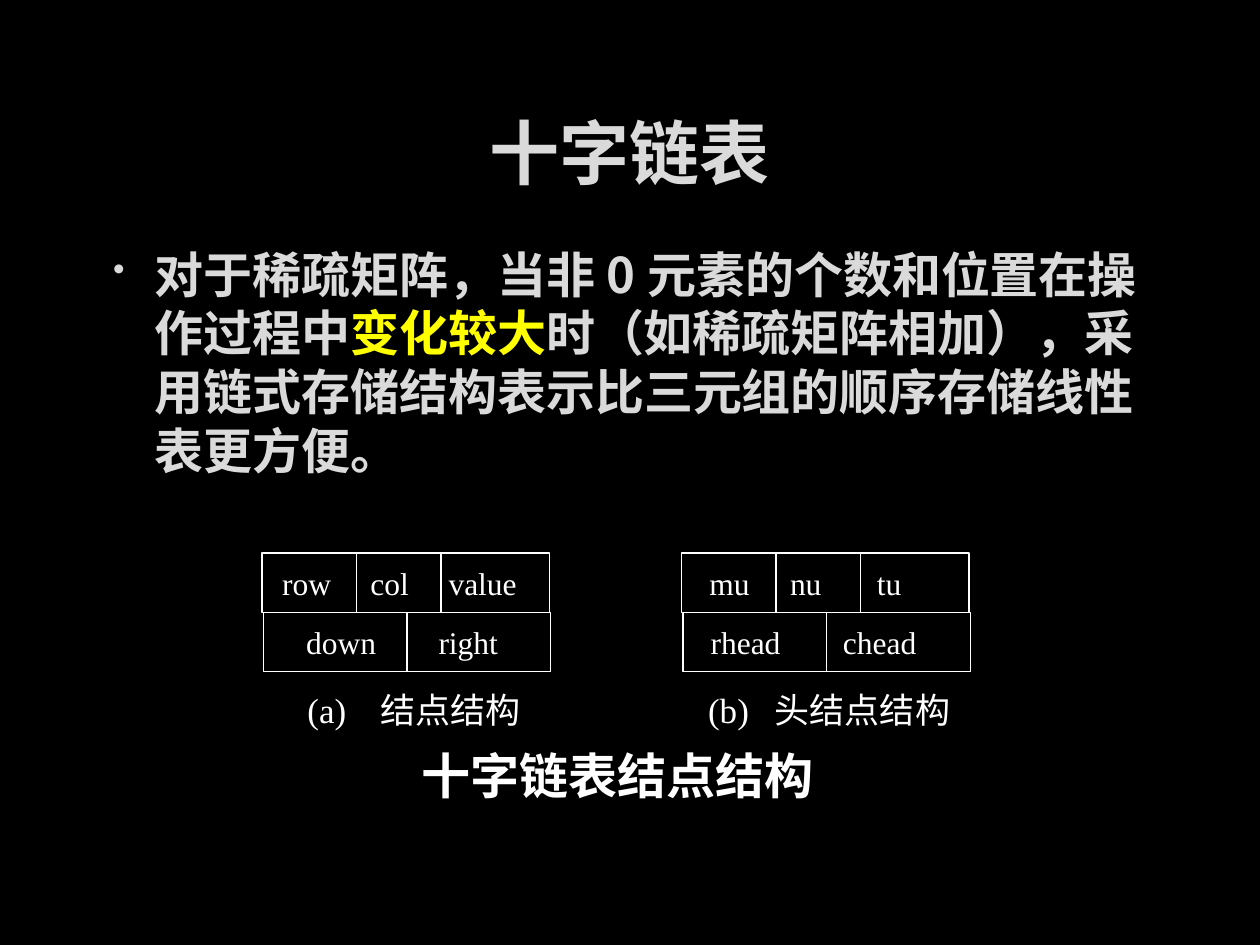
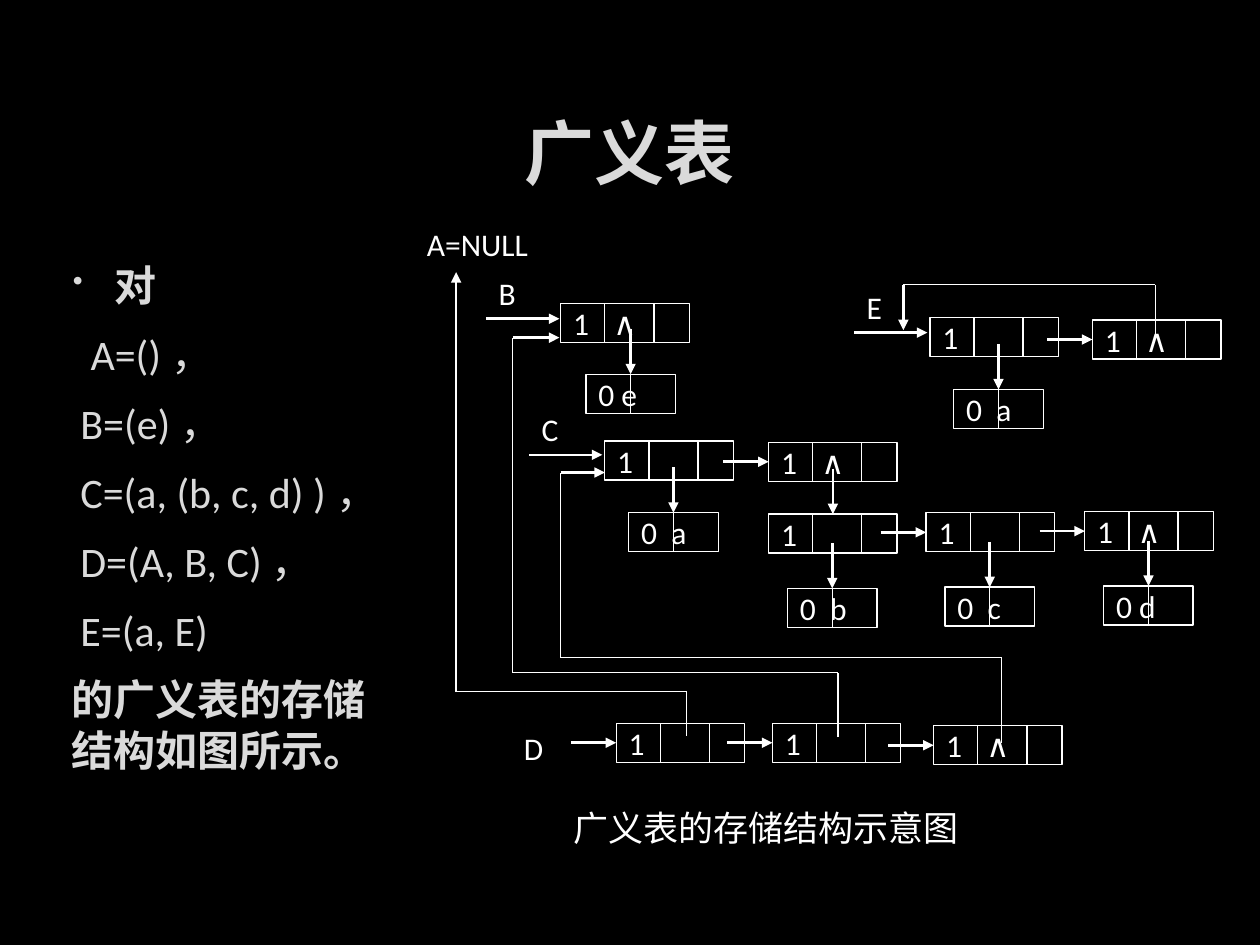
from typing import NamedTuple

from lxml import etree
from pptx import Presentation
from pptx.dml.color import RGBColor
from pptx.enum.shapes import MSO_CONNECTOR, MSO_SHAPE
from pptx.enum.text import MSO_ANCHOR, PP_ALIGN
from pptx.oxml.ns import qn
from pptx.util import Emu, Pt

PX = 9144  # 100 px to the inch
LINE, RECT = MSO_CONNECTOR.STRAIGHT, MSO_SHAPE.RECTANGLE
TOP, MIDDLE = MSO_ANCHOR.TOP, MSO_ANCHOR.MIDDLE
LEFT, CENTER = PP_ALIGN.LEFT, PP_ALIGN.CENTER
SIDE_TOP, SIDE_LEFT, SIDE_BOTTOM = 0, 1, 2
COLORS = {"bg": "000000", "text": "DADADA", "ink": "FFFFFF", "accent": "FFFF00"}
CJK, SANS, SERIF = "Noto Sans CJK SC", "Calibri", "Times New Roman"
THIN, THICK = 0.75, 1.5


class Style(NamedTuple):
    size: int
    font: str = CJK
    color: str = "ink"
    bold: bool = False


class Run(NamedTuple):
    text: str
    style: Style


class Box(NamedTuple):
    """A row of cells: words stand at tab stops, lines part the cells."""
    x: int
    y: int
    w: int
    h: int
    text: str
    dividers: tuple[int, ...]
    tabs: tuple[int, ...] = ()
    inset: int = 10
    font: str = SANS
    entry: int | None = None


class Label(NamedTuple):
    x: int
    y: int
    w: int
    h: int
    runs: tuple[Run, ...]
    align: PP_ALIGN = LEFT
    inset: int = 10
    tabs: tuple[int, ...] = ()


class Item(NamedTuple):
    runs: tuple[Run, ...]
    left: int
    bullet: bool = False


TITLE = Style(40, CJK, "text", True)
BODY = Style(28, CJK, "text", True)
LIST_HEAD = Style(24, CJK, "text", True)
LIST_CJK = Style(24, CJK, "text")
LIST = Style(24, SANS, "text")
CAPTION = Style(20, SERIF)
NAME = Style(18, SANS)


def px(n: float) -> Emu:
    return Emu(round(n * PX))


def rgb(name: str) -> RGBColor:
    return RGBColor.from_string(COLORS[name])


def add_run(p, run: Run) -> None:
    r = p.add_run()
    r.text = run.text
    r.font.size, r.font.bold = Pt(run.style.size), run.style.bold
    r.font.name, r.font.color.rgb = run.style.font, rgb(run.style.color)
    etree.SubElement(r._r.get_or_add_rPr(), qn("a:ea"), typeface=CJK)


def set_tabs(p, stops: tuple[int, ...]) -> None:
    if stops:
        tabs = etree.SubElement(p._p.get_or_add_pPr(), qn("a:tabLst"))
        for stop in stops:
            etree.SubElement(tabs, qn("a:tab"), pos=str(px(stop)), algn="l")


def set_frame(tf, anchor: MSO_ANCHOR, inset: int = 10) -> None:
    tf.word_wrap, tf.vertical_anchor = True, anchor
    tf.margin_left, tf.margin_right = px(inset), px(0 if inset > 10 else 10)
    tf.margin_top = tf.margin_bottom = px(5)


def add_label(s, label: Label) -> None:
    sp = s.shapes.add_textbox(px(label.x), px(label.y), px(label.w), px(label.h))
    set_frame(sp.text_frame, MIDDLE, label.inset)
    p = sp.text_frame.paragraphs[0]
    p.alignment = label.align
    for run in label.runs:
        add_run(p, run)
    set_tabs(p, label.tabs)


def add_body(s, x: int, y: int, w: int, h: int, items: list[Item]) -> None:
    tf = s.shapes.add_textbox(px(x), px(y), px(w), px(h)).text_frame
    set_frame(tf, TOP)
    for i, item in enumerate(items):
        p = tf.add_paragraph() if i else tf.paragraphs[0]
        size = item.runs[0].style.size
        p.line_spacing = Pt(round(size * 1.196, 1))
        p.space_before, p.space_after = Pt(size * 0.2), Pt(6)
        for run in item.runs:
            add_run(p, run)
        pPr = p._p.get_or_add_pPr()
        pPr.set("marL", str(px(item.left)))
        pPr.set("indent", str(px(-33 if item.bullet else 0)))
        if item.bullet:
            color = etree.SubElement(pPr, qn("a:buClr"))
            etree.SubElement(color, qn("a:srgbClr"), val=COLORS["text"])
            etree.SubElement(pPr, qn("a:buSzPct"), val="70000")
            etree.SubElement(pPr, qn("a:buChar"), char="•")


def add_line(s, x1: float, y1: float, x2: float, y2: float, arrow: bool = False):
    line = s.shapes.add_connector(LINE, px(x1), px(y1), px(x2), px(y2))
    line.line.color.rgb = rgb("ink")
    line.line.width = Pt(THICK if arrow else THIN)
    if arrow:
        etree.SubElement(line.line._get_or_add_ln(), qn("a:tailEnd"), type="triangle")
    etree.SubElement(line._element.spPr, qn("a:effectLst"))
    return line


def add_box(s, box: Box) -> None:
    sp = s.shapes.add_shape(RECT, px(box.x), px(box.y), px(box.w), px(box.h))
    sp.shadow.inherit = False
    sp.fill.background()
    sp.line.color.rgb, sp.line.width = rgb("ink"), Pt(THIN)
    set_frame(sp.text_frame, MIDDLE, box.inset)
    p = sp.text_frame.paragraphs[0]
    p.alignment = LEFT
    add_run(p, Run(box.text, Style(18, box.font)))
    set_tabs(p, box.tabs)
    for d in box.dividers:
        line = add_line(s, box.x + d, box.y, box.x + d, box.y + box.h)
        if abs(2 * d - box.w) <= 1:
            line.begin_connect(sp, SIDE_TOP)
            line.end_connect(sp, SIDE_BOTTOM)
    # Incoming arrow
    if box.entry is not None:
        if box.entry == SIDE_TOP:
            x, y = box.x + box.w / 2, box.y
            arrow = add_line(s, x, y - 36, x, y, True)
        else:
            x, y = box.x, box.y + box.h / 2
            arrow = add_line(s, x - 36, y, x, y, True)
        arrow.end_connect(sp, box.entry)


def node(x: int, y: int, text: str = "1", entry: int | None = None) -> Box:
    return Box(x, y, 102, 31, text, (35, 74), (32,), entry=entry)


def atom(x: int, y: int, text: str) -> Box:
    return Box(x, y, 71, 31, text, (36,), (24,), entry=SIDE_TOP)


def add_route(s, points: list[tuple[int, int]]) -> None:
    for i, (a, b) in enumerate(zip(points, points[1:])):
        add_line(s, *a, *b, arrow=i == len(points) - 2)


def new_slide(prs, title: str):
    s = prs.slides.add_slide(prs.slide_layouts[6])
    s.background.fill.solid()
    s.background.fill.fore_color.rgb = rgb("bg")
    add_label(s, Label(75, 67, 849, 106, (Run(title, TITLE),), CENTER))
    return s


# Slide 1: cells of a node and of a head node
CROSS_BODY = [Item((
    Run("对于稀疏矩阵，当非0元素的个数和位置在操作过程中", BODY),
    Run("变化较大", BODY._replace(color="accent")),
    Run("时（如稀疏矩阵相加），采用链式存储结构表示比三元组的顺序存储线性表更方便。", BODY),
), 38, True)]
CROSS_BOXES = [
    Box(208, 439, 228, 47, "row\tcol\tvalue", (75, 142), (70, 132), 16, SERIF),
    Box(209, 486, 228, 47, "down\tright", (114,), (105,), 34, SERIF),
    Box(541, 439, 228, 47, "mu\tnu\ttu", (75, 142), (64, 133), 22, SERIF),
    Box(542, 486, 228, 47, "rhead\tchead", (114,), (105,), 22, SERIF),
]
CROSS_LABELS = [
    Label(216, 542, 225, 42, (Run("(a)\t结点结构", CAPTION),), LEFT, 28, (58,)),
    Label(550, 542, 217, 42, (Run("(b)\t头结点结构", CAPTION),), LEFT, 12, (53,)),
    Label(311, 594, 358, 42, (Run("十字链表结点结构", Style(28, bold=True)),), CENTER),
]

# Slide 2: lists A to E and their nodes
LISTS = [("A=()", "，", 19), ("B=(e)", "，", 11), ("C=(a, (b, c, d) )", "，", 11),
         ("D=(A, B, C)", "，", 11), ("E=(a, E)", "", 11)]
LIST_BODY = [
    Item((Run("对", LIST_HEAD),), 38, True),
    *(Item((Run(text, LIST),) + ((Run(comma, LIST_CJK),) if comma else ()), left)
      for text, comma, left in LISTS),
    Item((Run("的广义表的存储结构如图所示。", LIST_HEAD),), 4),
]
END = "1\t∧"
LIST_BOXES = [
    # B
    node(445, 241, END), atom(465, 297, "0 e"),
    # C
    node(480, 350), atom(499, 407, "0\ta"), node(610, 351, END, SIDE_LEFT),
    node(610, 408, entry=SIDE_TOP), atom(625, 467, "0\tb"),
    node(735, 407, entry=SIDE_LEFT), atom(750, 466, "0\tc"),
    node(861, 406, END, SIDE_LEFT), atom(876, 465, "0 d"),
    # D
    node(489, 574, entry=SIDE_LEFT), node(613, 574, entry=SIDE_LEFT),
    node(741, 576, END, SIDE_LEFT),
    # E
    node(738, 252), atom(757, 309, "0\ta"), node(867, 254, END, SIDE_LEFT),
]
HEADS = [("B", 386, 253), ("C", 420, 361), ("E", 678, 264)]
ROUTES = [
    [(545, 584), (545, 549), (362, 549), (362, 216)],
    [(665, 585), (665, 534), (407, 534), (407, 268), (444, 268)],
    [(795, 590), (795, 522), (445, 522), (445, 375), (480, 375)],
    [(917, 265), (917, 226), (717, 226), (717, 262)],
]
LIST_LABELS = [
    Label(329, 174, 141, 39, (Run("A=NULL", NAME),)),
    Label(406, 574, 39, 39, (Run("D", NAME),)),
    Label(362, 636, 492, 42, (Run("广义", Style(20, SANS)),
                              Run("表的存储结构示意图", Style(20))), CENTER),
]


def main() -> None:
    prs = Presentation()
    prs.slide_width, prs.slide_height = px(1000), px(750)

    s = new_slide(prs, "十字链表")
    add_body(s, 75, 189, 849, 444, CROSS_BODY)
    for box in CROSS_BOXES:
        add_box(s, box)
    for label in CROSS_LABELS:
        add_label(s, label)

    s = new_slide(prs, "广义表")
    add_body(s, 43, 201, 271, 450, LIST_BODY)
    for box in LIST_BOXES:
        add_box(s, box)
    for name, x, y in HEADS:
        add_label(s, Label(x, y - 40, 39, 39, (Run(name, NAME),)))
        add_line(s, x, y, x + 58, y, True)
    for route in ROUTES:
        add_route(s, route)
    for label in LIST_LABELS:
        add_label(s, label)

    prs.save("out.pptx")


if __name__ == "__main__":
    main()
